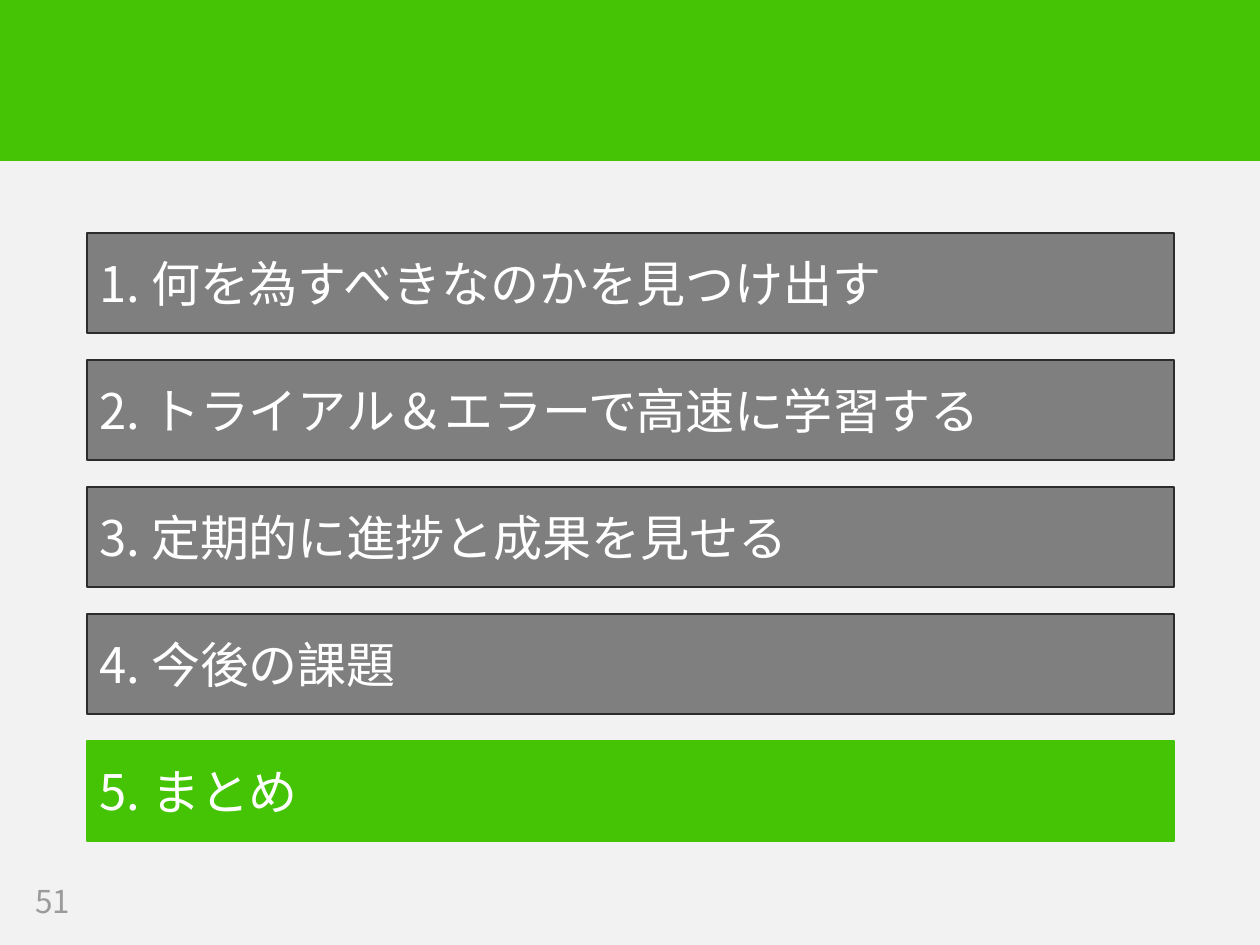
from lxml import etree
from pptx import Presentation
from pptx.dml.color import RGBColor
from pptx.enum import shapes, text
from pptx.oxml.ns import qn
from pptx.util import Emu, Pt

PX = 914400 / 126
FONT = "Noto Sans CJK JP"
COLORS = {"back": "F2F2F2", "accent": "44C404", "item": "7F7F7F",
          "edge": "2C2C2C", "white": "FFFFFF", "number": "9B9B9B"}
AGENDA = ["何を為すべきなのかを見つけ出す", "トライアル＆エラーで高速に学習する",
          "定期的に進捗と成果を見せる", "今後の課題", "まとめ"]
CURRENT = 5


def px(*lengths):
    return [Emu(round(n * PX)) for n in lengths]


def rgb(name):
    return RGBColor.from_string(COLORS[name])


def write(sp, words, size=28, color="white"):
    tf = sp.text_frame
    tf.word_wrap = True
    tf.vertical_anchor = text.MSO_ANCHOR.MIDDLE
    p = tf.paragraphs[0]
    p.alignment = text.PP_ALIGN.LEFT
    r = p.add_run()
    r.text = words
    r.font.size = Pt(size)
    r.font.name = FONT
    r.font.color.rgb = rgb(color)
    # East Asian characters take their own typeface
    etree.SubElement(r.font._element, qn("a:ea"), typeface=FONT)


def add_box(slide, box, fill, line, width):
    sp = slide.shapes.add_shape(shapes.MSO_SHAPE.RECTANGLE, *px(*box))
    sp.shadow.inherit = False
    sp.fill.solid()
    sp.fill.fore_color.rgb = rgb(fill)
    sp.line.color.rgb = rgb(line)
    sp.line.width = Pt(width)
    return sp


def add_header(slide, box):
    add_box(slide, box, "accent", "accent", 1)


def add_agenda(slide, box, bar_height=100):
    left, top, width, height = box
    pitch = (height - bar_height) / (len(AGENDA) - 1)
    for i, item in enumerate(AGENDA):
        number = i + 1
        fill, line = ("accent", "accent") if number == CURRENT else ("item", "edge")
        bar = (left, top + i * pitch, width, bar_height)
        write(add_box(slide, bar, fill, line, 0.75), f"{number}. {item}")


def add_page_number(slide, box, number):
    write(slide.shapes.add_textbox(*px(*box)), str(number), size=18, color="number")


def main():
    prs = Presentation()
    prs.slide_width, prs.slide_height = px(1260, 945)
    slide = prs.slides.add_slide(prs.slide_layouts[6])
    slide.background.fill.solid()
    slide.background.fill.fore_color.rgb = rgb("back")

    add_header(slide, (0, -1, 1260, 161))
    add_page_number(slide, (23, 876, 100, 49), 51)
    add_agenda(slide, (87, 233, 1087, 608))
    prs.save("out.pptx")


if __name__ == "__main__":
    main()
